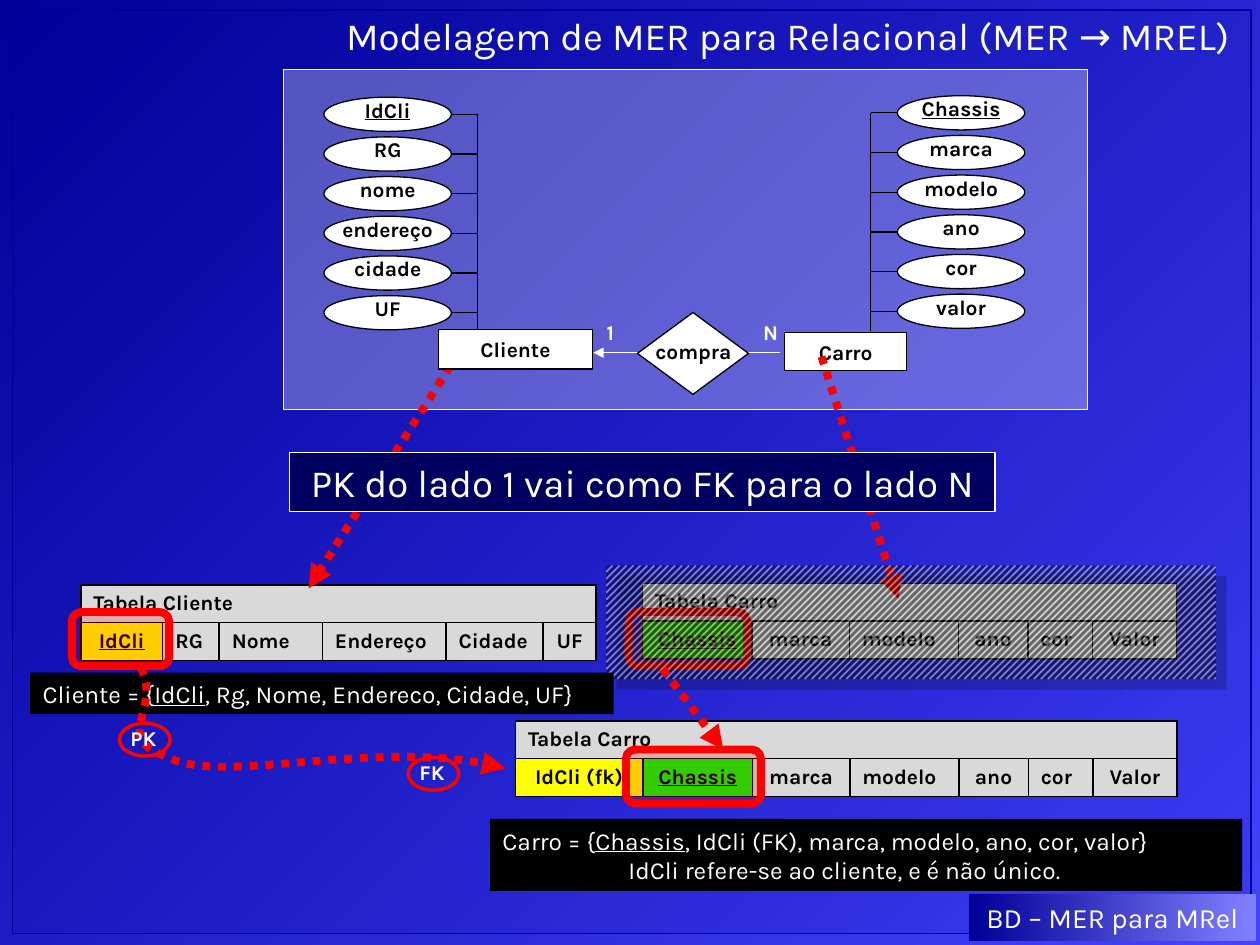
import pptx
import pptx.util
import pptx.dml.color
import pptx.enum.dml
import pptx.enum.shapes
import pptx.enum.text
import pptx.oxml
from pptx.oxml.ns import qn

Cm, Pt = pptx.util.Cm, pptx.util.Pt
SHAPE = pptx.enum.shapes.MSO_SHAPE
ALIGN = pptx.enum.text.PP_ALIGN
MIDDLE = pptx.enum.text.MSO_ANCHOR.MIDDLE
L, C, J = ALIGN.LEFT, ALIGN.CENTER, ALIGN.JUSTIFY
BLACK, WHITE, RED, GREY = "000000", "FFFFFF", "FF0000", "D9D9D9"
YELLOW, GREEN, NAVY = "FFFF00", "00FF00", "000099"

# Content (lengths in cm)
TITLE = "Modelagem de MER para Relacional (MER → MREL)"
RULE = "PK do lado 1 vai como FK para o lado N"
FOOTER = "BD – MER para MRel"
CLIENT_SET = [["Cliente = {", "*IdCli", ", Rg, Nome, Endereco, Cidade, UF}"]]
CAR_SET = [["Carro = {", "*Chassis", ", IdCli (FK), marca, modelo, ano, cor, valor}"],
           ["IdCli refere-se ao cliente, e é não único."]]

# Attributes marked * are keys, shown underlined
CLIENT_ATTRS = ["*IdCli", "RG", "nome", "endereço", "cidade", "UF"]
CAR_ATTRS = ["*Chassis", "marca", "modelo", "ano", "cor", "valor"]

# Columns: text, width, alignment, fill
CLIENT_COLS = [("*IdCli", 1.65, C, YELLOW), ("RG", 1.14, J, GREY), ("Nome", 2.08, J, GREY),
               ("Endereço", 2.49, J, GREY), ("Cidade", 1.96, J, GREY), ("UF", 1.07, C, GREY)]
CAR_COLS = [("*Chassis", 2.21, C, GREEN), ("marca", 1.96, C, GREY), ("modelo", 2.2, L, GREY),
            ("ano", 1.4, C, GREY), ("cor", 1.3, L, GREY), ("Valor", 1.7, C, GREY)]
CAR_FK_COLS = [("IdCli (fk)", 2.57, C, YELLOW)] + CAR_COLS

KEY_FRAMES = [(1.45, 12.34, 1.96), (12.67, 12.34, 2.39), (12.62, 15.11, 2.72)]
KEY_TAGS = [("PK", 2.41, 14.58), ("FK", 8.23, 15.27)]
FK_CURVE = [(2.84, 13.46), (3.28, 14.35), (2.21, 14.86), (3.4, 15.27),
            (4.45, 15.82), (7.72, 14.83), (10.19, 15.49)]

prs = pptx.Presentation()
prs.slide_width, prs.slide_height = Cm(25.4), Cm(19.05)
s = prs.slides.add_slide(prs.slide_layouts[5])


def rgb(color):
    return pptx.dml.color.RGBColor.from_string(color)


def add_xml(parent, tag, **attrs):
    el = parent.makeelement(qn(tag), attrs)
    parent.append(el)
    return el


def set_alpha(fill_element, percent):
    add_xml(fill_element.find(".//" + qn("a:srgbClr")), "a:alpha", val=str(percent * 1000))


def gradient(fill, start, end, angle):
    fill.gradient()
    fill.gradient_angle = angle
    for stop, color in zip(fill.gradient_stops, (start, end)):
        stop.color.rgb = rgb(color)


def write(tf, paragraphs, size, color, align=C, bold=False):
    for i, runs in enumerate(paragraphs):
        p = tf.paragraphs[0] if i == 0 else tf.add_paragraph()
        p.alignment = align
        f = p.font
        f.name, f.size, f.bold, f.color.rgb = "Karla", Pt(size), bold, rgb(color)
        for text in runs:
            r = p.add_run()
            r.text = text.lstrip("*")
            if text.startswith("*"):
                r.font.underline = True


def box(kind, x, y, w, h, fill=None, line=None, width=0.75, alpha=None):
    sp = s.shapes.add_shape(kind, Cm(x), Cm(y), Cm(w), Cm(h))
    sp.shadow.inherit = False
    sp.text_frame.word_wrap = True
    if fill:
        sp.fill.solid()
        sp.fill.fore_color.rgb = rgb(fill)
        if alpha:
            set_alpha(sp._element.spPr.find(qn("a:solidFill")), alpha)
    else:
        sp.fill.background()
    if line:
        sp.line.color.rgb, sp.line.width = rgb(line), Pt(width)
    else:
        sp.line.fill.background()
    return sp


def label(text, x, y, w, color=BLACK):
    tf = s.shapes.add_textbox(Cm(x), Cm(y), Cm(w), Cm(0.6)).text_frame
    tf.margin_left = tf.margin_right = tf.margin_top = tf.margin_bottom = 0
    tf.word_wrap = w > 1
    write(tf, [[text]], 12, color, bold=True)


def stroke(shape, color, width=0.75, dotted=False, arrow=False):
    shape.line.color.rgb, shape.line.width = rgb(color), Pt(width)
    if dotted:
        shape.line.dash_style = pptx.enum.dml.MSO_LINE.ROUND_DOT
    if arrow:
        add_xml(shape.line._get_or_add_ln(), "a:tailEnd", type="triangle")


def line(x1, y1, x2, y2, color=BLACK, **style):
    cx = s.shapes.add_connector(pptx.enum.shapes.MSO_CONNECTOR.STRAIGHT,
                                Cm(x1), Cm(y1), Cm(x2), Cm(y2))
    stroke(cx, color, **style)
    add_xml(cx._element.spPr, "a:effectLst")


def red_arrow(x1, y1, x2, y2):
    line(x1, y1, x2, y2, RED, width=4.5, dotted=True, arrow=True)


def format_cell(cell, text, align, fill):
    tcPr = cell._tc.get_or_add_tcPr()
    for side in ("a:lnL", "a:lnR", "a:lnT", "a:lnB"):
        ln = add_xml(tcPr, side, w=str(Pt(1)))
        add_xml(add_xml(ln, "a:solidFill"), "a:srgbClr", val=BLACK)
    cell.fill.solid()
    cell.fill.fore_color.rgb = rgb(fill)
    write(cell.text_frame, [[text]] if text else [], 12, BLACK, align, True)


def table(name, x, y, cols):
    row_h = 0.76
    t = s.shapes.add_table(2, len(cols), Cm(x), Cm(y), Cm(sum(c[1] for c in cols)),
                           Cm(2 * row_h)).table
    t.rows[0].height = t.rows[1].height = Cm(row_h)
    t.cell(0, 0).merge(t.cell(0, len(cols) - 1))
    for i, (text, width, align, fill) in enumerate(cols):
        t.columns[i].width = Cm(width)
        format_cell(t.cell(0, i), "" if i else name, L, GREY)
        format_cell(t.cell(1, i), text, align, fill)


def entity(name, x, y, w, h):
    write(box(SHAPE.RECTANGLE, x, y, w, h, WHITE, BLACK).text_frame, [[name]], 12, BLACK, bold=True)


def attributes(names, x, y, trunk_x, edge_x):
    pitch, w, h = 0.8, 2.57, 0.69
    line(trunk_x, y + h / 2, trunk_x, 6.68)
    for i, name in enumerate(names):
        top = y + i * pitch
        line(trunk_x, top + h / 2, edge_x, top + h / 2)
        box(SHAPE.OVAL, x, top, w, h, WHITE, BLACK)
        label(name, x - 0.26, top, w + 0.52)


# Background, frame, title and diagram panel
gradient(s.background.fill, NAVY, "4343FF", 315)
box(SHAPE.RECTANGLE, 0.25, 0.2, 24.97, 18.62, NAVY, NAVY, alpha=10)
box(SHAPE.RECTANGLE, 5.72, 1.4, 16.21, 6.86, WHITE, WHITE, alpha=30)
title = s.shapes.title
title.left, title.top, title.width, title.height = Cm(2.18), Cm(0.33), Cm(22.86), Cm(0.97)
title.text_frame.vertical_anchor = MIDDLE
title.text_frame.auto_size = pptx.enum.text.MSO_AUTO_SIZE.NONE
write(title.text_frame, [[TITLE]], 22, WHITE, ALIGN.RIGHT)
title.text_frame.paragraphs[0].line_spacing = 0.75
s.shapes._spTree.append(title._element)

# First pair of tables
table("Tabela Cliente", 1.63, 11.79, CLIENT_COLS)
table("Tabela Carro", 12.95, 11.76, CAR_COLS)

# Relationship
line(15.72, 7.11, 11.96, 7.11, WHITE, arrow=True)
box(SHAPE.DIAMOND, 12.85, 6.3, 2.24, 1.65, WHITE, BLACK)
label("compra", 12.62, 6.83, 2.72)
label("1", 12.09, 6.45, 0.43, WHITE)
label("N", 15.37, 6.45, 0.33, WHITE)

# Entities, arrows to their tables and the rule between
attributes(CAR_ATTRS, 18.09, 1.93, 17.55, 18.09)
entity("Carro", 15.82, 6.71, 2.46, 0.76)
red_arrow(9.25, 7.11, 6.22, 11.86)
red_arrow(16.56, 7.19, 18.11, 12.07)
table("Tabela Carro", 10.39, 14.53, CAR_FK_COLS)
rule = box(SHAPE.RECTANGLE, 5.84, 9.12, 14.22, 1.19, "000060", WHITE)
write(rule.text_frame, [[RULE]], 22, WHITE)
attributes(CLIENT_ATTRS, 6.53, 1.96, 9.63, 9.1)
entity("Cliente", 8.84, 6.65, 3.1, 0.79)

# Key frames, with the replaced table hatched over
for x, y, w in KEY_FRAMES[:2]:
    box(SHAPE.ROUNDED_RECTANGLE, x, y, w, 1.09, RED, RED, 4.5, 20)
footer = box(SHAPE.RECTANGLE, 19.53, 18.03, 5.79, 0.94)
gradient(footer.fill, NAVY, "8181FF", 0)
write(footer.text_frame, [[FOOTER]], 16, WHITE)
hatch = box(SHAPE.RECTANGLE, 12.22, 11.4, 12.29, 2.29)
hatch.fill.patterned()
hatch.fill.pattern = pptx.enum.dml.MSO_PATTERN.WIDE_UPWARD_DIAGONAL
hatch.fill.fore_color.rgb, hatch.fill.back_color.rgb = rgb(WHITE), rgb(BLACK)
for part in hatch._element.spPr.find(qn("a:pattFill")):
    set_alpha(part, 40)
shadow = add_xml(hatch._element.spPr.find(qn("a:effectLst")), "a:outerShdw",
                 dist=str(Pt(8.5)), dir="2700000", algn="ctr", rotWithShape="0")
add_xml(add_xml(shadow, "a:srgbClr", val=BLACK), "a:alpha", val="50000")

# Relation schemas
client = box(SHAPE.RECTANGLE, 0.61, 13.56, 11.76, 0.84, BLACK)
write(client.text_frame, CLIENT_SET, 14, WHITE, L)
car = box(SHAPE.RECTANGLE, 9.88, 16.51, 15.16, 1.45, BLACK)
write(car.text_frame, CAR_SET, 14, WHITE, L)
car.text_frame.paragraphs[1]._p.get_or_add_pPr().set("marL", str(Cm(2.54)))

# Curve from primary key to foreign key: line points regrouped as cubic segments
points = [(Cm(x), Cm(y)) for x, y in FK_CURVE]
fb = s.shapes.build_freeform(*points[0])
fb.add_line_segments(points[1:], close=False)
curve = fb.convert_to_shape()
curve.shadow.inherit = False
curve.fill.background()
stroke(curve, RED, 4.5, True, True)
path = curve._element.spPr.find(".//" + qn("a:path"))
segments = path.findall(qn("a:lnTo"))
for i in range(0, len(segments), 3):
    bezier = add_xml(path, "a:cubicBezTo")
    for seg in segments[i:i + 3]:
        bezier.append(seg[0])
        path.remove(seg)

# Moved key and PK / FK tags
x, y, w = KEY_FRAMES[2]
box(SHAPE.ROUNDED_RECTANGLE, x, y, w, 1.09, RED, RED, 4.5, 20)
red_arrow(13.36, 13.49, 14.58, 15.11)
for text, x, y in KEY_TAGS:
    box(SHAPE.OVAL, x, y, 1.02, 0.66, line=RED, width=2)
    label(text, x + 0.14, y + 0.05, 0.68, WHITE)

prs.save("out.pptx")
